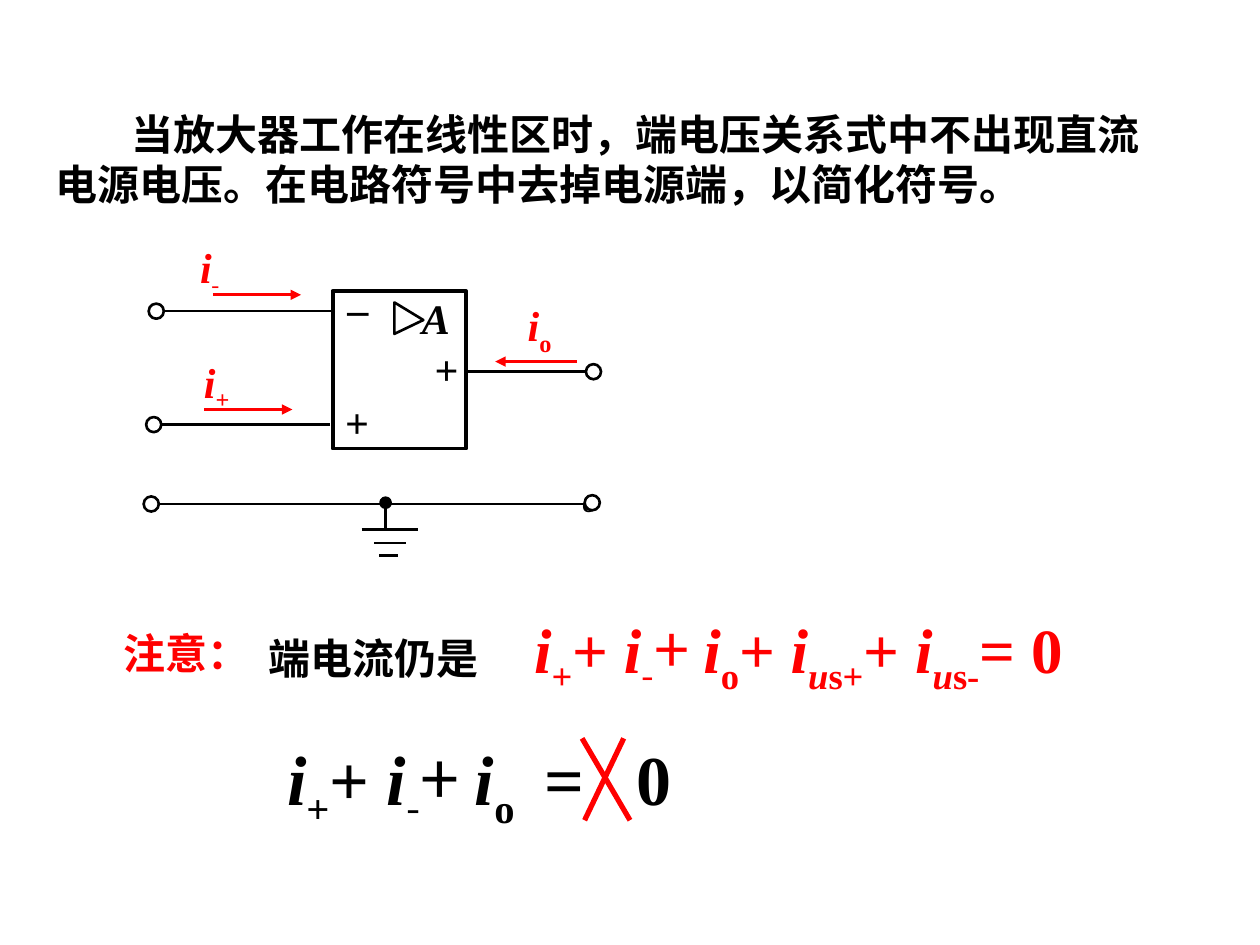
from dataclasses import dataclass
from typing import NamedTuple

from lxml import etree
from pptx import Presentation
from pptx.dml.color import RGBColor
from pptx.enum import shapes, text
from pptx.oxml import ns
from pptx.util import Inches, Pt


@dataclass(frozen=True)
class Theme:
    black: RGBColor = RGBColor(0, 0, 0)
    white: RGBColor = RGBColor(255, 255, 255)
    red: RGBColor = RGBColor(255, 0, 0)
    latin: str = "Times New Roman"
    chinese: str = "Noto Sans CJK SC"
    body: int = 24
    formula: int = 36
    large_formula: int = 40
    wire: float = 1.5
    frame: float = 2.25
    cross: float = 3


THEME = Theme()


class Run(NamedTuple):
    text: str
    italic: bool = False
    lowered: bool = False
    light: bool = False


@dataclass(frozen=True)
class Label:
    left: float
    top: float
    width: float
    runs: tuple[Run, ...]
    color: RGBColor = THEME.black
    size: int = THEME.body
    height: float = 0.5
    wrap: bool = False
    tabs: tuple[float, ...] = ()
    centered: bool = False


@dataclass(frozen=True)
class Line:
    x1: float
    y1: float
    x2: float
    y2: float
    color: RGBColor = THEME.black
    width: float = THEME.wire
    arrow: bool = False


@dataclass(frozen=True)
class Figure:
    kind: shapes.MSO_SHAPE
    left: float
    top: float
    width: float
    height: float
    fill: RGBColor = THEME.white
    line_width: float = THEME.wire


I = Run("i", italic=True)
U = Run("u", italic=True, lowered=True)
PLUS = Run("+ ")
LIGHT_PLUS = Run("+ ", light=True)
MINUS_INDEX = Run("-", lowered=True, light=True)
PLUS_INDEX = Run("+", lowered=True)
OUT_INDEX = Run("o", lowered=True)
TERMINAL_CURRENTS = (I, PLUS_INDEX, PLUS, I, MINUS_INDEX, LIGHT_PLUS, I, OUT_INDEX)
SUPPLY_CURRENTS = (PLUS, I, U, Run("s+", lowered=True),
                   PLUS, I, U, Run("s-", lowered=True), Run("= 0"))


def set_font(font, size: int, color: RGBColor, latin: str) -> None:
    font.size = Pt(size)
    font.bold = True
    font.color.rgb = color
    font.name = latin
    properties = font._element
    etree.SubElement(properties, ns.qn("a:ea")).set("typeface", THEME.chinese)


def add_tabs(paragraph, positions: tuple[float, ...]) -> None:
    tab_list = etree.SubElement(paragraph._p.get_or_add_pPr(), ns.qn("a:tabLst"))
    for position in positions:
        tab = etree.SubElement(tab_list, ns.qn("a:tab"))
        tab.set("pos", str(Inches(position)))
        tab.set("algn", "l")


def add_label(slide, label: Label) -> None:
    box = slide.shapes.add_textbox(Inches(label.left), Inches(label.top),
                                   Inches(label.width), Inches(label.height))
    frame = box.text_frame
    frame.word_wrap = label.wrap
    paragraph = frame.paragraphs[0]
    if label.centered:
        frame.vertical_anchor = text.MSO_ANCHOR.MIDDLE
        paragraph.alignment = text.PP_ALIGN.CENTER
    if label.tabs:
        add_tabs(paragraph, label.tabs)
    set_font(paragraph.font, label.size, label.color, THEME.latin)
    for part in label.runs:
        run = paragraph.add_run()
        run.text = part.text
        if part.italic:
            run.font.italic = True
        if part.light:
            run.font.bold = False
            run.font.name = THEME.chinese
        if part.lowered:
            run.font._element.set("baseline", "-25000")


def add_line(slide, line: Line) -> None:
    connector = slide.shapes.add_connector(
        shapes.MSO_CONNECTOR.STRAIGHT, Inches(line.x1), Inches(line.y1),
        Inches(line.x2), Inches(line.y2))
    connector.line.color.rgb = line.color
    connector.line.width = Pt(line.width)
    if line.arrow:
        etree.SubElement(connector.line._get_or_add_ln(),
                         ns.qn("a:tailEnd")).set("type", "triangle")
    etree.SubElement(connector._element.spPr, ns.qn("a:effectLst"))


def add_figure(slide, figure: Figure):
    shape = slide.shapes.add_shape(figure.kind, Inches(figure.left), Inches(figure.top),
                                   Inches(figure.width), Inches(figure.height))
    shape.shadow.inherit = False
    shape.fill.solid()
    shape.fill.fore_color.rgb = figure.fill
    shape.line.color.rgb = THEME.black
    shape.line.width = Pt(figure.line_width)
    return shape


def add_statement(slide) -> None:
    title = slide.shapes.title
    title.left, title.top = Inches(0.34), Inches(0.81)
    title.width, title.height = Inches(8.94), Inches(0.91)
    frame = title.text_frame
    frame.text = "当放大器工作在线性区时，端电压关系式中不出现直流电源电压。在电路符号中去掉电源端，以简化符号。"
    frame.auto_size = text.MSO_AUTO_SIZE.NONE
    frame.vertical_anchor = text.MSO_ANCHOR.TOP
    paragraph = frame.paragraphs[0]
    paragraph.alignment = text.PP_ALIGN.LEFT
    paragraph._p.get_or_add_pPr().set("indent", str(Inches(0.6)))
    set_font(paragraph.font, THEME.body, THEME.black, THEME.chinese)


def add_circuit(slide) -> None:
    ellipse = shapes.MSO_SHAPE.OVAL
    add_line(slide, Line(1.23, 4, 4.74, 4))
    add_label(slide, Label(4.52, 3.81, 0.2, (Run("º"),), wrap=True, centered=True))
    for left, right, y in ((2.87, 3.32, 4.2), (2.97, 3.22, 4.31), (3.01, 3.16, 4.41)):
        add_line(slide, Line(left, y, right, y))
    add_line(slide, Line(3.06, 4.04, 3.06, 4.2))
    add_figure(slide, Figure(ellipse, 3.02, 3.95, 0.08, 0.08, THEME.black))
    add_figure(slide, Figure(shapes.MSO_SHAPE.RECTANGLE, 2.64, 2.31, 1.06, 1.25,
                             line_width=THEME.frame))
    for start, end, y in ((2.66, 1.27, 2.47), (2.62, 1.25, 3.37), (3.7, 4.68, 2.95)):
        add_line(slide, Line(start, y, end, y))
    gain = add_figure(slide, Figure(shapes.MSO_SHAPE.ISOSCELES_TRIANGLE,
                                    3.12, 2.41, 0.25, 0.23))
    gain.rotation = 90
    gain.adjustments[0] = 0.56
    for left, top in ((4.65, 2.89), (1.18, 2.41), (1.16, 3.31), (4.64, 3.93), (1.14, 3.94)):
        add_figure(slide, Figure(ellipse, left, top, 0.12, 0.12))
    for start, end, y in ((1.69, 2.39, 2.34), (1.62, 2.32, 3.25), (4.58, 3.93, 2.87)):
        add_line(slide, Line(start, y, end, y, THEME.red, arrow=True))
    for label in (
        Label(2.66, 2.08, 0.37, (Run("_"),)),
        Label(2.64, 3.1, 0.39, (Run("+"),)),
        Label(3.25, 2.27, 0.42, (Run("A", italic=True),)),
        Label(3.35, 2.68, 0.39, (Run("+"),)),
        Label(1.52, 2.78, 0.42, (I, PLUS_INDEX), THEME.red),
        Label(1.49, 1.87, 0.4, (I, MINUS_INDEX), THEME.red),
        Label(4.09, 2.33, 0.4, (I, OUT_INDEX), THEME.red),
    ):
        add_label(slide, label)


def add_equations(slide) -> None:
    add_label(slide, Label(0.88, 4.93, 1.37, (Run("注意："),), THEME.red))
    add_label(slide, Label(2.03, 4.97, 2, (Run("端电流仍是"),)))
    add_label(slide, Label(4.14, 4.8, 4.87, TERMINAL_CURRENTS + SUPPLY_CURRENTS,
                           THEME.red, THEME.formula, 0.7, wrap=True))
    add_label(slide, Label(2.18, 5.79, 3.83, TERMINAL_CURRENTS + (Run("\t=\t0"),),
                           size=THEME.large_formula, height=0.77, wrap=True,
                           tabs=(2.04, 2.77)))
    for top_x, bottom_x in ((4.95, 4.64), (4.62, 5)):
        add_line(slide, Line(top_x, 5.86, bottom_x, 6.51, THEME.red, THEME.cross))


def main() -> None:
    presentation = Presentation()
    presentation.slide_width, presentation.slide_height = Inches(10), Inches(7.5)
    slide = presentation.slides.add_slide(presentation.slide_layouts[5])
    add_statement(slide)
    add_circuit(slide)
    add_equations(slide)
    presentation.save("out.pptx")


if __name__ == "__main__":
    main()
